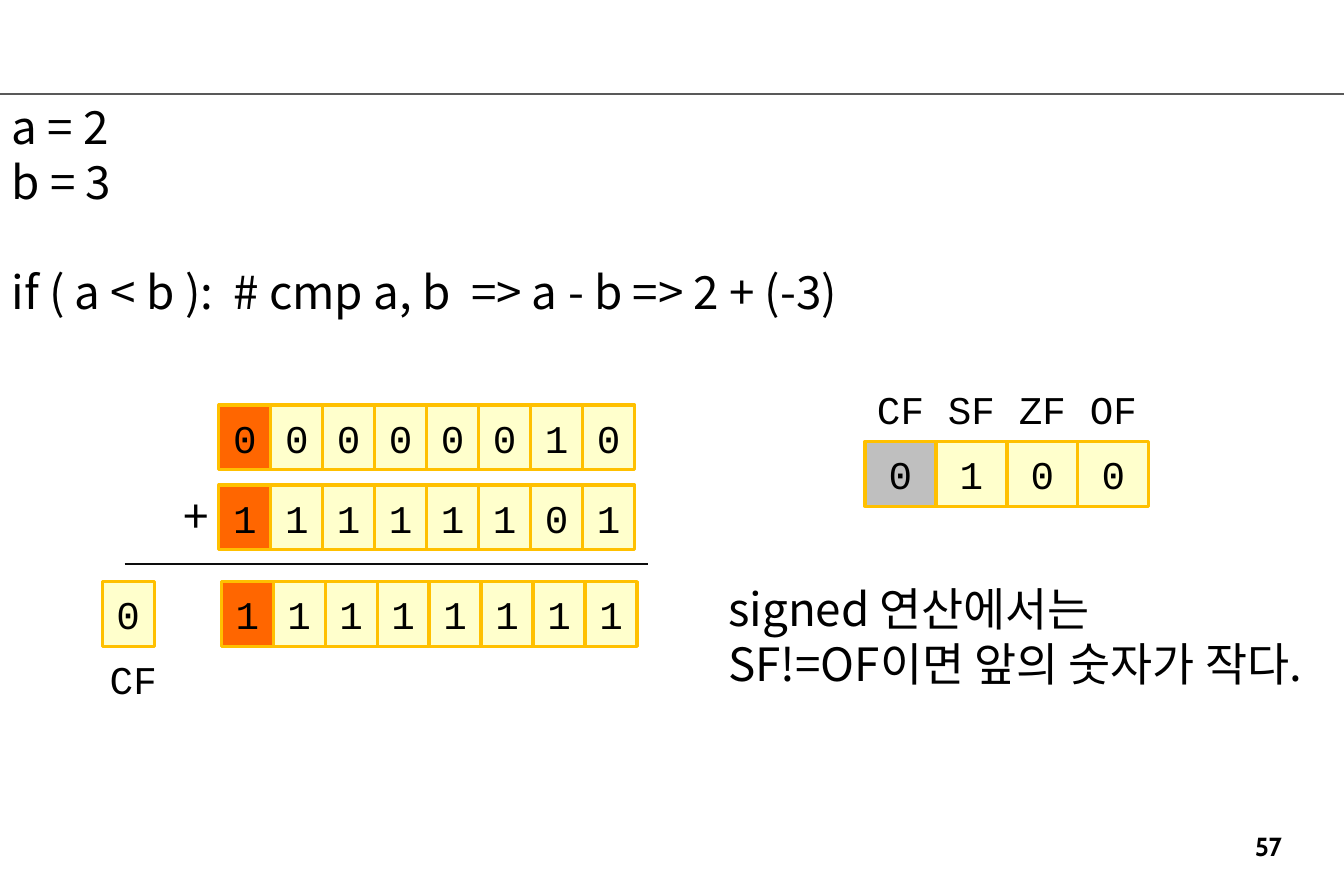
import pptx
import pptx.dml.color
import pptx.enum.shapes
import pptx.enum.text
import pptx.oxml
import pptx.util

Pt = pptx.util.Pt
RGBColor = pptx.dml.color.RGBColor
ALIGN = pptx.enum.text.PP_ALIGN
ANCHOR = pptx.enum.text.MSO_ANCHOR

BLACK = RGBColor(0x00, 0x00, 0x00)
GRAY_RULE = RGBColor(0x59, 0x59, 0x59)
SUM_RULE = RGBColor(0x0D, 0x0D, 0x0D)
GOLD = RGBColor(0xFF, 0xC0, 0x00)
CREAM = RGBColor(0xFF, 0xFF, 0xCC)
ORANGE = RGBColor(0xFF, 0x66, 0x00)
SILVER = RGBColor(0xBF, 0xBF, 0xBF)

BIT_WIDTH, FLAG_WIDTH, CELL_HEIGHT = 31.8, 43.4, 39.6
LINE_HEIGHT = 33.6


class SlideBuilder:
    """Holds the text style and the slide being filled."""

    body_font, body_size = "Noto Sans CJK KR", 28
    code_font, code_size = "Courier New", 24

    def __init__(self, slide):
        self.slide = slide

    def run(self, paragraph, words, font, size, bold=False):
        run = paragraph.add_run()
        run.text = words
        run.font.name = font
        run.font.size = Pt(size)
        run.font.bold = bold
        run.font.color.rgb = BLACK
        east_asian = pptx.oxml.parse_xml(
            '<a:ea xmlns:a="http://schemas.openxmlformats.org/drawingml/2006/main" '
            f'typeface="{font}"/>')
        run.font._element.find(
            "{http://schemas.openxmlformats.org/drawingml/2006/main}latin"
        ).addnext(east_asian)

    def textbox(self, x, y, width, height):
        frame = self.slide.shapes.add_textbox(
            Pt(x), Pt(y), Pt(width), Pt(height)).text_frame
        frame.word_wrap = True
        return frame

    def body(self, x, y, width, height, lines):
        """Each line is a pair of its words and the space before it."""
        frame = self.textbox(x, y, width, height)
        frame.margin_right = 0
        for index, (words, gap) in enumerate(lines):
            paragraph = frame.add_paragraph() if index else frame.paragraphs[0]
            paragraph.line_spacing = Pt(LINE_HEIGHT)
            if gap:
                paragraph.space_before = Pt(gap)
            self.run(paragraph, words, self.body_font, self.body_size)

    def page_number(self, x, y, width, height, number):
        paragraph = self.textbox(x, y, width, height).paragraphs[0]
        paragraph.alignment = ALIGN.CENTER
        self.run(paragraph, number, "Cabin", 16, bold=True)

    def centred_code(self, frame, words):
        frame.vertical_anchor = ANCHOR.MIDDLE
        frame.paragraphs[0].alignment = ALIGN.CENTER
        self.run(frame.paragraphs[0], words, self.code_font, self.code_size)

    def label(self, x, y, words):
        self.centred_code(self.textbox(x, y, FLAG_WIDTH, CELL_HEIGHT), words)

    def cells(self, x, y, width, values, first_fill):
        for index, value in enumerate(values):
            cell = self.slide.shapes.add_shape(
                pptx.enum.shapes.MSO_SHAPE.RECTANGLE,
                Pt(x + index * width), Pt(y), Pt(width), Pt(CELL_HEIGHT))
            cell.shadow.inherit = False
            cell.fill.solid()
            cell.fill.fore_color.rgb = CREAM if index else first_fill
            cell.line.color.rgb = GOLD
            cell.line.width = Pt(2)
            self.centred_code(cell.text_frame, value)

    def rule(self, x1, x2, y, color, weight):
        line = self.slide.shapes.add_connector(
            pptx.enum.shapes.MSO_CONNECTOR.STRAIGHT, Pt(x1), Pt(y), Pt(x2), Pt(y))
        line.line.color.rgb = color
        line.line.width = Pt(weight)
        line._element.spPr.append(pptx.oxml.parse_xml(
            '<a:effectLst xmlns:a="http://schemas.openxmlformats.org/drawingml/2006/main"/>'))


def main():
    deck = pptx.Presentation()
    deck.slide_width, deck.slide_height = Pt(822.24), Pt(540)
    page = SlideBuilder(deck.slides.add_slide(deck.slide_layouts[6]))

    # Page frame
    page.page_number(730, 504, 92, 17.3, "57")
    page.rule(0, 822.24, 57.6, GRAY_RULE, 1.5)

    # Comparison in code
    page.body(0, 56.9, 607, 177, [
        ("a = 2", 0),
        ("b = 3", 0),
        ("if ( a < b ):  # cmp a, b  => a - b => 2 + (-3)", LINE_HEIGHT),
    ])

    # Binary addition
    for x, y, bits in [(133.9, 247.7, "00000010"),
                       (133.9, 296.6, "11111101"),
                       (135.4, 355.7, "11111111")]:
        page.cells(x, y, BIT_WIDTH, bits, ORANGE)
    page.body(105, 294.5, 34.6, 41, [("+", 0)])
    page.rule(76.3, 396.7, 344.9, SUM_RULE, 0.75)

    # Carry out
    page.cells(62.6, 355.7, BIT_WIDTH, "0", CREAM)
    page.label(59.8, 395.3, "CF")

    # Flags
    flags_x, flags_y = 529.2, 270
    page.cells(flags_x, flags_y, FLAG_WIDTH, "0100", SILVER)
    for index, flag in enumerate(["CF", "SF", "ZF", "OF"]):
        page.label(flags_x + index * FLAG_WIDTH, flags_y - CELL_HEIGHT, flag)

    # Conclusion
    page.body(438.5, 351.4, 383.7, 74.9, [
        ("signed 연산에서는", 0),
        ("SF!=OF이면 앞의 숫자가 작다.", 0),
    ])

    deck.save("out.pptx")


if __name__ == "__main__":
    main()
